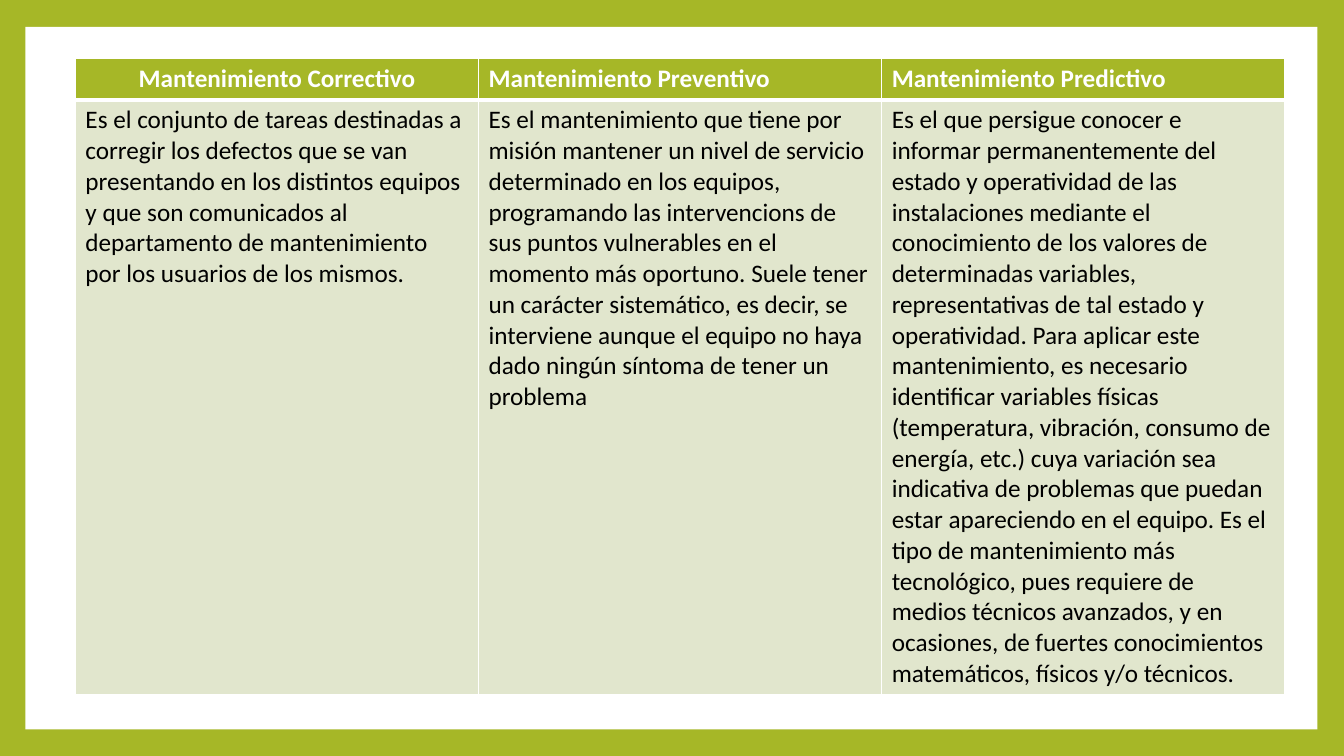
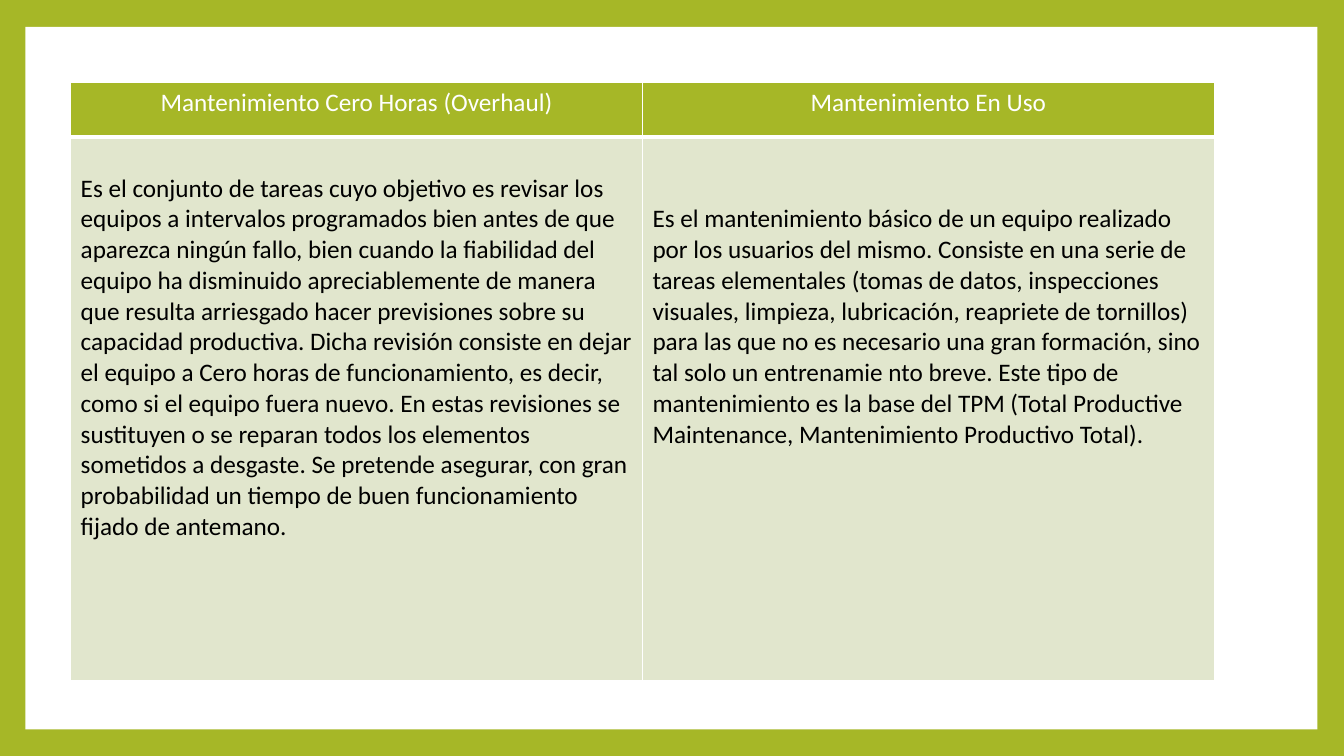
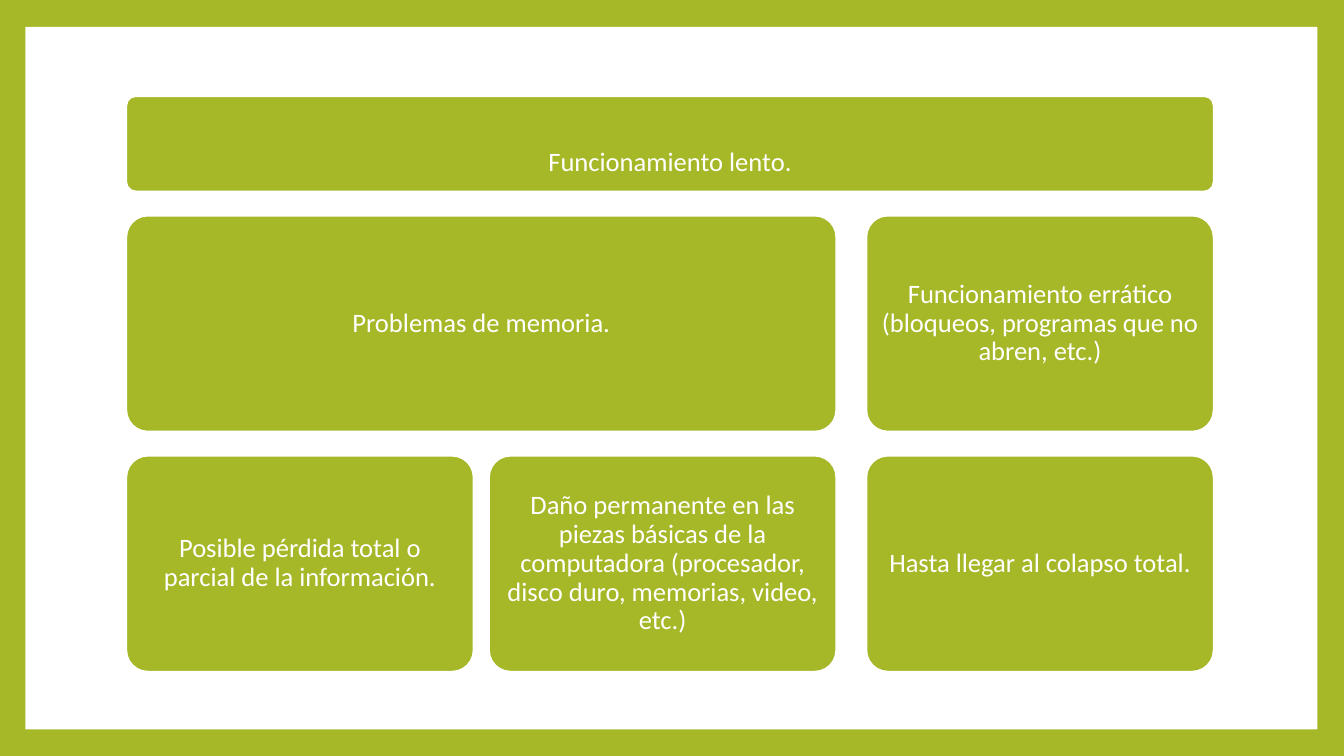
from lxml import etree
from pptx import Presentation
from pptx.dml.color import RGBColor
from pptx.enum import shapes, text
from pptx.oxml import ns
from pptx.util import Cm, Pt

GREEN = RGBColor(0xA6, 0xB7, 0x27)
PALE = RGBColor(0xE1, 0xE6, 0xCD)
WHITE = RGBColor(0xFF, 0xFF, 0xFF)
BLACK = RGBColor(0x00, 0x00, 0x00)
FONT = "Calibri"
CENTER, LEFT = text.PP_ALIGN.CENTER, text.PP_ALIGN.LEFT
LINE = 0.775
CELL_MARGIN = 0.13

TYPES = [
    ("Mantenimiento Correctivo", CENTER, 0,
     "Es el conjunto de tareas destinadas a corregir los defectos que se van presentando en los "
     "distintos equipos y que son comunicados al departamento de mantenimiento por los usuarios "
     "de los mismos."),
    ("Mantenimiento Preventivo", LEFT, 0,
     "Es el mantenimiento que tiene por misión mantener un nivel de servicio determinado en los "
     "equipos, programando las intervencions de sus puntos vulnerables en el momento más oportuno. "
     "Suele tener un carácter sistemático, es decir, se interviene aunque el equipo no haya dado "
     "ningún síntoma de tener un problema"),
    ("Mantenimiento Predictivo", LEFT, 0,
     "Es el que persigue conocer e informar permanentemente del estado y operatividad de las "
     "instalaciones mediante el conocimiento de los valores de determinadas variables, "
     "representativas de tal estado y operatividad. Para aplicar este mantenimiento, es necesario "
     "identificar variables físicas (temperatura, vibración, consumo de energía, etc.) cuya "
     "variación sea indicativa de problemas que puedan estar apareciendo en el equipo. Es el tipo "
     "de mantenimiento más tecnológico, pues requiere de medios técnicos avanzados, y en ocasiones, "
     "de fuertes conocimientos matemáticos, físicos y/o técnicos."),
]
MORE_TYPES = [
    ("Mantenimiento Cero Horas (Overhaul)", CENTER, 1,
     "Es el conjunto de tareas cuyo objetivo es revisar los equipos a intervalos programados bien "
     "antes de que aparezca ningún fallo, bien cuando la fiabilidad del equipo ha disminuido "
     "apreciablemente de manera que resulta arriesgado hacer previsiones sobre su capacidad "
     "productiva. Dicha revisión consiste en dejar el equipo a Cero horas de funcionamiento, es "
     "decir, como si el equipo fuera nuevo. En estas revisiones se sustituyen o se reparan todos "
     "los elementos sometidos a desgaste. Se pretende asegurar, con gran probabilidad un tiempo de "
     "buen funcionamiento fijado de antemano."),
    ("Mantenimiento En Uso", CENTER, 2,
     "Es el mantenimiento básico de un equipo realizado por los usuarios del mismo. Consiste en una "
     "serie de tareas elementales (tomas de datos, inspecciones visuales, limpieza, lubricación, "
     "reapriete de tornillos) para las que no es necesario una gran formación, sino tal solo un "
     "entrenamie nto breve. Este tipo de mantenimiento es la base del TPM (Total Productive "
     "Maintenance, Mantenimiento Productivo Total)."),
]
SYMPTOMS = [
    (0, 0, 3, "Funcionamiento lento."),
    (1, 0, 2, "Problemas de memoria."),
    (1, 2, 1, "Funcionamiento errático (bloqueos, programas que no abren, etc.)"),
    (2, 0, 1, "Posible pérdida total o parcial de la información."),
    (2, 1, 1, "Daño permanente en las piezas básicas de la computadora (procesador, disco duro, "
              "memorias, video, etc.)"),
    (2, 2, 1, "Hasta llegar al colapso total."),
]


def style_paragraph(paragraph, size, color, align, bold=False):
    """Set font and alignment of a paragraph."""
    paragraph.alignment = align
    font = paragraph.font
    font.name, font.size, font.bold = FONT, Pt(size), bold
    font.color.rgb = color


def paint(shape, color):
    """Give a shape a flat fill without shadow."""
    shape.shadow.inherit = False
    shape.fill.solid()
    shape.fill.fore_color.rgb = color


def add_frame(master, slide):
    """Put the green background and white panel on the master."""
    master.background.fill.solid()
    master.background.fill.fore_color.rgb = GREEN
    panel = slide.shapes.add_shape(
        shapes.MSO_SHAPE.RECTANGLE, Cm(0.64), Cm(0.68), Cm(32.56), Cm(17.7))
    paint(panel, WHITE)
    panel.line.fill.background()
    panel.element.nvSpPr.cNvPr.id = 100
    master.shapes.element.insert(2, panel.element)


def set_borders(cell, top, bottom):
    """Draw white borders, 1 pt at the sides."""
    properties = cell._tc.get_or_add_tcPr()
    for index, (side, width) in enumerate(zip("LRTB", (1, 1, top, bottom))):
        border = etree.Element(ns.qn(f"a:ln{side}"), w=str(Pt(width)))
        fill = etree.SubElement(border, ns.qn("a:solidFill"))
        etree.SubElement(fill, ns.qn("a:srgbClr"), val=str(WHITE))
        properties.insert(index, border)


def fill_cell(cell, words, fill, color, align, bold, borders, lines_above=0):
    """Write and format one table cell."""
    cell.text = words
    cell.margin_top = Cm(CELL_MARGIN + lines_above * LINE)
    cell.fill.solid()
    cell.fill.fore_color.rgb = fill
    style_paragraph(cell.text_frame.paragraphs[0], 18, color, align, bold)
    set_borders(cell, *borders)


def add_types_table(slide, types, left, top, column_width, row_heights, bold_header):
    """Add a table with one kind of maintenance in each column."""
    table = slide.shapes.add_table(
        2, len(types), Cm(left), Cm(top),
        Cm(column_width * len(types)), Cm(sum(row_heights))).table
    for row, height in zip(table.rows, row_heights):
        row.height = Cm(height)
    for index, (heading, align, lines_above, definition) in enumerate(types):
        table.columns[index].width = Cm(column_width)
        fill_cell(table.cell(0, index), heading, GREEN, WHITE, align, bold_header, (1, 3))
        fill_cell(table.cell(1, index), definition, PALE, BLACK, LEFT, False, (3, 1), lines_above)


def add_symptoms(slide, left, top):
    """Add the stacked rows of symptom boxes."""
    box_width, gap = 8.76, 0.6
    column_lefts = (0, 9.14, 18.65)
    row_heights = (2.41, 5.45, 5.45)
    for row, column, span, symptom in SYMPTOMS:
        width = column_lefts[column + span - 1] - column_lefts[column] + box_width
        box = slide.shapes.add_shape(
            shapes.MSO_SHAPE.ROUNDED_RECTANGLE, Cm(left + column_lefts[column]),
            Cm(top + sum(row_heights[:row]) + row * gap), Cm(width), Cm(row_heights[row]))
        box.adjustments[0] = 0.1
        paint(box, GREEN)
        box.line.color.rgb, box.line.width = WHITE, Pt(1.5)
        frame = box.text_frame
        frame.word_wrap = True
        frame.vertical_anchor = text.MSO_ANCHOR.MIDDLE
        frame.margin_left = frame.margin_right = frame.margin_bottom = Cm(0.2)
        frame.margin_top = Cm(0.2 if row else 1.18)
        frame.text = symptom
        style_paragraph(frame.paragraphs[0], 19, WHITE, CENTER)
        frame.paragraphs[0].line_spacing = 0.9


def main():
    """Build and save the presentation."""
    deck = Presentation()
    deck.slide_width, deck.slide_height = Cm(33.87), Cm(19.05)
    blank = deck.slide_layouts[6]
    types, more_types, symptoms = [deck.slides.add_slide(blank) for _ in range(3)]
    add_frame(deck.slide_master, types)
    add_types_table(types, TYPES, 1.9, 1.48, 10.16, (1.03, 15), True)
    add_types_table(more_types, MORE_TYPES, 1.78, 2.08, 14.41, (1.38, 13.69), False)
    add_symptoms(symptoms, 3.18, 2.42)
    deck.save("out.pptx")


if __name__ == "__main__":
    main()
